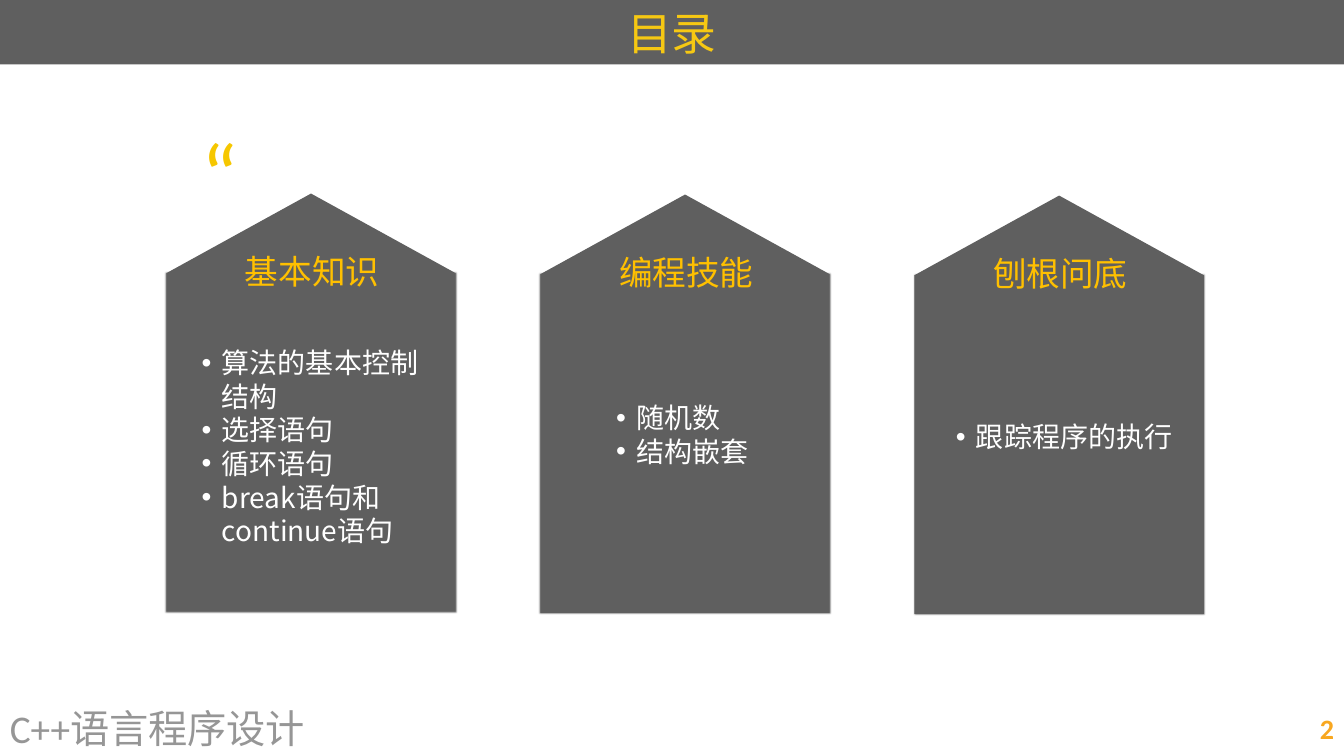
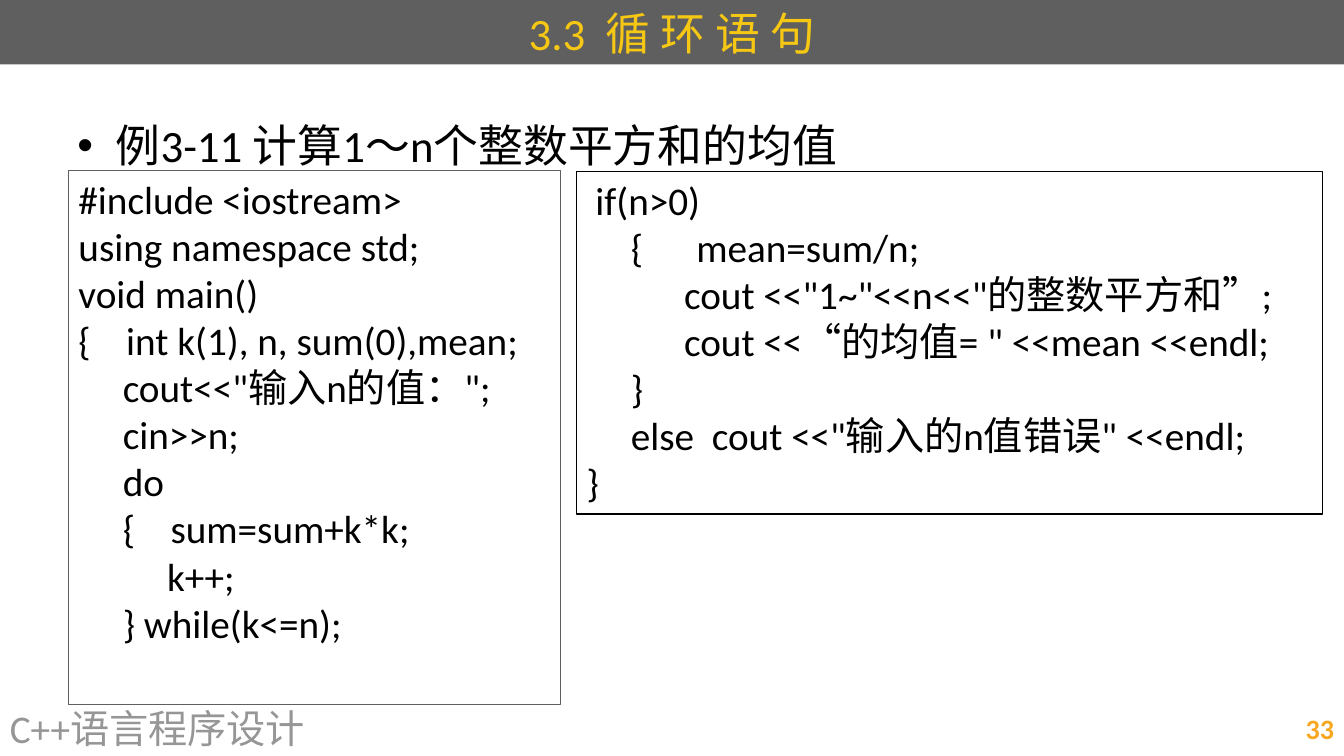
from lxml.etree import SubElement
from pptx import Presentation
from pptx.dml.color import RGBColor
from pptx.enum.shapes import MSO_SHAPE
from pptx.enum.text import MSO_ANCHOR, PP_ALIGN
from pptx.oxml.ns import qn
from pptx.util import Inches, Pt

COLORS = {
    "band": "5F5F5F",
    "title": "F6C813",
    "footer": "969696",
    "page": "F8A720",
    "quote": "F6C700",
    "heading": "FFC000",
    "light": "FFFFFF",
    "dark": "000000",
}
LATIN = "Calibri"
CJK = "Noto Sans CJK SC"
WIDTH, HEIGHT = 13.33, 7.5
FOOTER_TOP, FOOTER_HEIGHT = 6.95, 0.55

CARD_LEFT, CARD_STEP = 1.65, 3.71
ROOF_TOP, CARD_DROP = 1.92, 0.01
CARD_WIDTH, ROOF_HEIGHT, WALL_HEIGHT = 2.87, 0.79, 3.36

# heading, topics, left of the topics within the card, their width and centre
CARDS = [
    ("基本知识", ["算法的基本控制结构", "选择语句", "循环语句", "break语句和continue语句"],
     0.29, 2.29, 4.43),
    ("编程技能", ["随机数", "结构嵌套"], 0.69, 2.58, 4.31),
    ("刨根问底", ["跟踪程序的执行"], 0.35, 2.68, 4.33),
]

INPUT_CODE = """#include <iostream>
using namespace std;
void main()
{    int k(1), n, sum(0),mean;
     cout<<"输入n的值：";
     cin>>n;
     do
     {    sum=sum+k*k;
          k++;
     } while(k<=n);"""

OUTPUT_CODE = """ if(n>0)
     {\t mean=sum/n;
           cout <<"1~"<<n<<"的整数平方和”;
           cout <<“的均值= " <<mean <<endl;
     }
     else  cout <<"输入的n值错误" <<endl;
}"""


def rgb(color):
    return RGBColor.from_string(COLORS[color])


def add_bullet(paragraph, indent):
    properties = paragraph._p.get_or_add_pPr()
    properties.set("marL", str(Inches(indent)))
    properties.set("indent", str(-Inches(indent)))
    SubElement(properties, qn("a:buFont"), typeface="Arial")
    SubElement(properties, qn("a:buChar"), char="•")


def write_text(shape, lines, *, size, color, font=LATIN, bold=False,
               align=PP_ALIGN.LEFT, anchor=MSO_ANCHOR.MIDDLE, inset=None,
               indent=None, spacing=None):
    """Fill a shape with one paragraph per line; an indent adds bullets."""
    frame = shape.text_frame
    frame.word_wrap = True
    frame.vertical_anchor = anchor
    if inset is not None:
        frame.margin_left = frame.margin_right = Inches(inset)
        frame.margin_top = frame.margin_bottom = Inches(inset)
    for number, line in enumerate(lines):
        paragraph = frame.add_paragraph() if number else frame.paragraphs[0]
        if indent:
            add_bullet(paragraph, indent)
        paragraph.alignment = align
        if spacing:
            paragraph.line_spacing = Pt(spacing)
        run = paragraph.add_run()
        run.text = line
        run.font.size = Pt(size)
        run.font.name = font
        run.font.bold = bold
        run.font.color.rgb = rgb(color)


def add_text(slide, lines, left, top, width, height, **text_format):
    box = slide.shapes.add_textbox(
        Inches(left), Inches(top), Inches(width), Inches(height))
    write_text(box, lines, **text_format)


def add_rectangle(slide, left, top, width, height, fill=None, line=None, line_width=1):
    rectangle = slide.shapes.add_shape(
        MSO_SHAPE.RECTANGLE, Inches(left), Inches(top), Inches(width), Inches(height))
    rectangle.shadow.inherit = False
    if fill:
        rectangle.fill.solid()
        rectangle.fill.fore_color.rgb = rgb(fill)
    else:
        rectangle.fill.background()
    if line:
        rectangle.line.color.rgb = rgb(line)
        rectangle.line.width = Pt(line_width)
    else:
        rectangle.line.fill.background()
    return rectangle


def add_soft_edge_shadow(shape):
    effects = shape._element.spPr.find(qn("a:effectLst"))
    shadow = SubElement(effects, qn("a:outerShdw"), blurRad=str(Pt(1)),
                        dist="0", dir="5400000")
    tint = SubElement(shadow, qn("a:srgbClr"), val=COLORS["dark"])
    SubElement(tint, qn("a:alpha"), val="50000")


def add_roof(slide, left, top):
    base = top + ROOF_HEIGHT
    builder = slide.shapes.build_freeform(
        Inches(left + CARD_WIDTH / 2), Inches(top))
    builder.add_line_segments(
        [(Inches(left + CARD_WIDTH), Inches(base)), (Inches(left), Inches(base))],
        close=True)
    roof = builder.convert_to_shape()
    roof.shadow.inherit = False
    roof.fill.solid()
    roof.fill.fore_color.rgb = rgb("band")
    roof.line.fill.background()


def add_card(slide, position, heading, topics, topics_left, topics_width, topics_center):
    left = CARD_LEFT + position * CARD_STEP
    top = ROOF_TOP + position * CARD_DROP
    wall = add_rectangle(slide, left, top + ROOF_HEIGHT, CARD_WIDTH, WALL_HEIGHT,
                         fill="band")
    add_soft_edge_shadow(wall)
    add_roof(slide, left, top)
    topics_height = 2.13
    add_text(slide, topics, left + topics_left, topics_center - topics_height / 2,
             topics_width, topics_height, size=20, color="light", font=CJK,
             inset=0.06, indent=0.2, spacing=24)
    add_text(slide, [heading], left + 0.72, top + 0.51, 1.58, 0.52,
             size=24, color="heading", font=CJK, inset=0.06)


def add_code(slide, code, left, top, width, height, line, line_width):
    panel = add_rectangle(slide, left, top, width, height,
                          line=line, line_width=line_width)
    write_text(panel, code.splitlines(), size=28, color="dark",
               anchor=MSO_ANCHOR.TOP)


def add_page(deck, title, number):
    """Add a blank slide with the title band, course name and page number."""
    slide = deck.slides.add_slide(deck.slide_layouts[6])
    band = add_rectangle(slide, 0, 0, WIDTH, 0.64, fill="band")
    write_text(band, [title], size=32, color="title", align=PP_ALIGN.CENTER)
    add_text(slide, ["C++语言程序设计"], 0, FOOTER_TOP, 8.78, FOOTER_HEIGHT,
             size=28, color="footer")
    add_text(slide, [str(number)], WIDTH - 3.78, FOOTER_TOP, 3.78, FOOTER_HEIGHT,
             size=20, color="page", bold=True, align=PP_ALIGN.RIGHT)
    return slide


def add_contents(deck):
    slide = add_page(deck, "目录", 2)
    for position, card in enumerate(CARDS):
        add_card(slide, position, *card)
    add_text(slide, ["“"], 1.94, 1.77, 0.82, 0.51, size=62.5, color="quote",
             anchor=MSO_ANCHOR.BOTTOM, inset=0.06, spacing=40)


def add_loop_example(deck):
    slide = add_page(deck, "3.3  循 环 语 句", 33)
    add_text(slide, ["例3-11 计算1～n个整数平方和的均值"], 0.67, 1.12, 12, 0.6,
             size=32, color="dark", anchor=MSO_ANCHOR.TOP, indent=0.38)
    add_code(slide, INPUT_CODE, 0.68, 1.69, 4.88, 5.3, "band", 1)
    add_code(slide, OUTPUT_CODE, 5.72, 1.7, 7.4, 3.4, "dark", 0.75)


def main():
    deck = Presentation()
    deck.slide_width = Inches(WIDTH)
    deck.slide_height = Inches(HEIGHT)
    add_contents(deck)
    add_loop_example(deck)
    deck.save("out.pptx")


if __name__ == "__main__":
    main()
